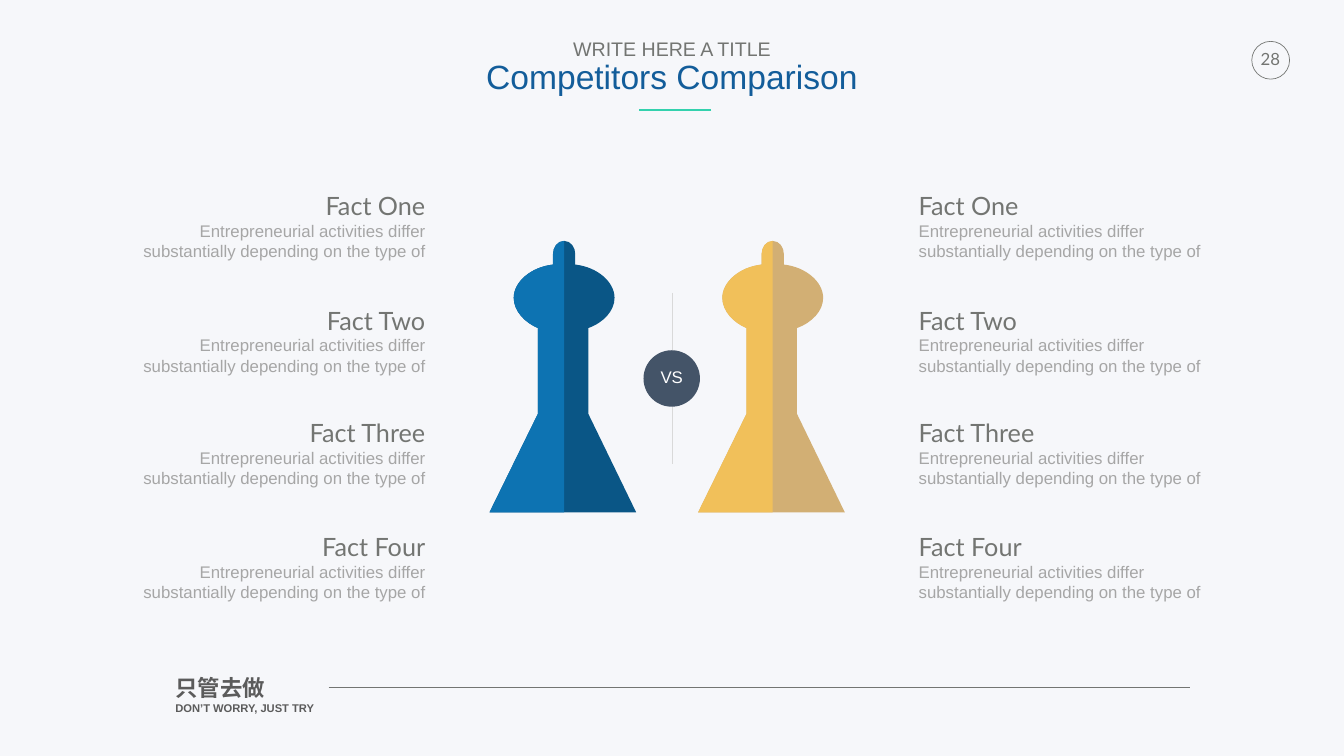
from pptx import Presentation
from pptx.dml.color import RGBColor
from pptx.enum.shapes import MSO_CONNECTOR as Link, MSO_SHAPE as Form
from pptx.enum.text import MSO_ANCHOR as Anchor, MSO_AUTO_SIZE as Fit, PP_ALIGN as Align
from pptx.oxml.ns import qn
from pptx.util import Inches, Pt
from lxml.etree import SubElement

WIDE, HIGH = Inches(26.67), Inches(15)
GREY, PALE, DARK = "737572", "A6A6A6", "5B5B5B"
BLURB = "Entrepreneurial activities differ substantially depending on the type of"
FACTS = {"Fact One": 23.93, "Fact Two": 39.07, "Fact Three": 53.93, "Fact Four": 69}
TIGHT = {"margin_left": 0, "margin_right": 0, "margin_top": 0, "margin_bottom": 0,
         "word_wrap": False, "vertical_anchor": Anchor.MIDDLE}


def size(share):
    """Turn a percentage of the slide's height into a length."""
    return round(HIGH * share / 100)


def color(code):
    """Read a hex string."""
    return RGBColor.from_string(code)


def paint(shape, fill=None, line=None):
    """Give a shape a plain fill and outline, without a shadow."""
    shape.shadow.inherit = False
    if fill:
        shape.fill.solid()
        shape.fill.fore_color.rgb = color(fill)
    else:
        shape.fill.background()
    if line:
        shape.line.color.rgb = color(line)
        shape.line.width = Pt(1)
    else:
        shape.line.fill.background()


def text(shapes, place, rows, align=Align.LEFT, space=None, **frame):
    """Add a text box with one paragraph per (words, font, size, colour, bold) row."""
    box = shapes.add_textbox(*map(size, place)).text_frame
    inset = Inches(0.05)
    format = {"word_wrap": True, "auto_size": Fit.SHAPE_TO_FIT_TEXT,
              "margin_left": inset, "margin_right": inset,
              "margin_top": inset, "margin_bottom": inset} | frame
    for name, value in format.items():
        setattr(box, name, value)
    for index, (words, face, points, code, bold) in enumerate(rows):
        para = box.add_paragraph() if index else box.paragraphs[0]
        para.alignment = align
        if space:
            para.line_spacing = space
        run = para.add_run()
        run.text = words
        for name, value in {"name": face, "size": Pt(points), "bold": bold}.items():
            setattr(run.font, name, value)
        run.font.color.rgb = color(code)


def rule(shapes, start, end, code, points):
    """Draw a straight line between two points."""
    line = shapes.add_connector(Link.STRAIGHT, *map(size, start + end))
    line.line.color.rgb = color(code)
    line.line.width = Pt(points)
    SubElement(line._element.spPr, qn("a:effectLst"))


def disc(shapes, left, top, width, **style):
    """Draw a circle."""
    paint(shapes.add_shape(Form.OVAL, *map(size, (left, top, width, width))), **style)


def half(sign, neck, base):
    """List the curve knots of one side of a pawn, from its tip to its foot."""
    knob = [(0, 0), (0.9, 0), (1.47, 0.87), (1.47, 1.73)]
    brow = [(1.47, 3.13)] * 3 + [(4.47, 3.47), (6.67, 5.47), (6.67, 7.53)]
    chin = [(6.67, 9.27), (5.2, 10.8), (neck, 11.53)]
    foot = [(neck, 22.87)] * 3 + [(base, 35.9)] * 3 + [(0, 35.9)] * 3
    return [(sign * x, y) for x, y in knob + brow + chin + foot]


def bend(shape):
    """Turn each three line segments of a freeform into one cubic curve."""
    for route in shape._element.spPr.iter(qn("a:path")):
        lines = route.findall(qn("a:lnTo"))
        for first, *rest in zip(lines[::3], lines[1::3], lines[2::3]):
            first.tag = qn("a:cubicBezTo")
            for line in rest:
                first.append(line[0])
                route.remove(line)


def pawn(shapes, axis, light, shade):
    """Draw a pawn with a light left side over a shaded body."""
    group = shapes.add_group_shape().shapes
    left, right = half(-1, 3.47, 9.87), half(1, 3.2, 9.53)
    for side, code in ((right + left[-2::-1], shade), (left, light)):
        points = [(size(axis + x), size(31.87 + y)) for x, y in side]
        maker = group.build_freeform(*points[0], scale=1.0)
        maker.add_line_segments(points[1:], close=True)
        shape = maker.convert_to_shape()
        bend(shape)
        paint(shape, fill=code)


def facts(shapes, left, align):
    """Stack the four facts in a column."""
    for fact, top in FACTS.items():
        text(shapes, (left, top, 41.67, 10.93),
             [(fact, "Lato", 36, GREY, False), (BLURB, "Arial", 24, PALE, False)],
             align, margin_top=Inches(0.19))


def frame(shapes):
    """Add the page number, motto and title."""
    disc(shapes, 165.6, 5.47, 5, line=GREY)
    text(shapes, (22.87, 88.87, 26.6, 6.6),
         [("只管去做", "Arial", 32, DARK, True),
          ("DON’T WORRY, JUST TRY", "Arial", 16, DARK, True)])
    rule(shapes, (43.47, 90.93), (157.47, 90.93), GREY, 0.25)
    text(shapes, (166.13, 6, 3.87, 3.6), [("28", "Lato", 24, GREY, False)],
         Align.CENTER, **TIGHT)
    text(shapes, (63.93, 4.93, 49.93, 8.87),
         [("WRITE HERE A TITLE", "Arial", 28, GREY, False),
          ("Competitors Comparison", "Arial", 48, "135D9A", False)],
         Align.CENTER, 0.9, word_wrap=False)
    rule(shapes, (94.07, 14.53), (84.47, 14.53), "33D1AD", 3)


def versus(shapes):
    """Add the divider and its badge."""
    rule(shapes, (88.93, 38.73), (88.93, 61.4), "D9D9D9", 2)
    group = shapes.add_group_shape().shapes
    disc(group, 85.13, 46.33, 7.47, fill="445468")
    text(group, (87.33, 48.73, 3.07, 2.67), [("VS", "Arial", 24, "FFFFFF", False)],
         Align.CENTER, 0.89, **TIGHT)


def main():
    """Build and save the slide."""
    deck = Presentation()
    deck.slide_width, deck.slide_height = WIDE, HIGH
    slide = deck.slides.add_slide(deck.slide_layouts[6])
    slide.background.fill.solid()
    slide.background.fill.fore_color.rgb = color("F6F7FA")
    shapes = slide.shapes
    frame(shapes)
    pawn(shapes, 74.63, "0D73B2", "0A5686")
    pawn(shapes, 102.23, "F1C05A", "D2AF74")
    versus(shapes)
    facts(shapes, 121.2, Align.LEFT)
    facts(shapes, 14.93, Align.RIGHT)
    deck.save("out.pptx")


if __name__ == "__main__":
    main()
